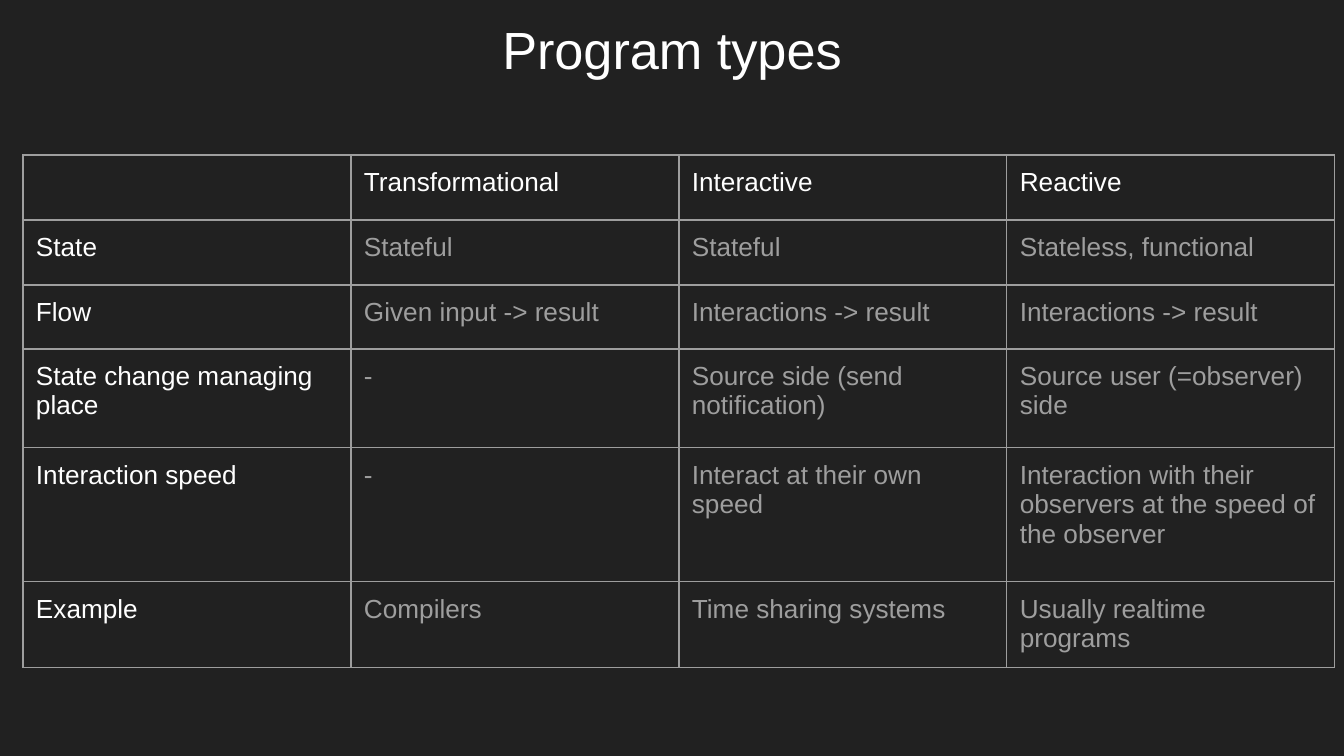
from dataclasses import dataclass

from lxml.etree import SubElement
from pptx import Presentation
from pptx.dml.color import RGBColor as Color
from pptx.enum.text import MSO_ANCHOR as Anchor, PP_ALIGN as Align
from pptx.oxml.ns import qn
from pptx.util import Emu, Pt

PIXEL = 914400 / 134.4


def px(length):
    return Emu(round(length * PIXEL))


@dataclass(frozen=True)
class Theme:
    font: str = "Arial"
    background: str = "212121"
    heading: str = "FFFFFF"
    body: str = "9E9E9E"
    border: str = "9E9E9E"
    title_size: int = 28
    cell_size: int = 14
    border_width: float = 0.75
    inset: int = 13


class SlideBuilder:
    def __init__(self, deck, theme):
        self.theme = theme
        self.slide = deck.slides.add_slide(deck.slide_layouts[5])
        fill = self.slide.background.fill
        fill.solid()
        fill.fore_color.rgb = Color.from_string(theme.background)

    def add_text(self, para, text, size, color):
        run = para.add_run()
        run.text = text
        run.font.name = self.theme.font
        run.font.size = Pt(size)
        run.font.color.rgb = Color.from_string(color)

    def title(self, text, left, top, width, height):
        box = self.slide.shapes.title
        box.left, box.top, box.width, box.height = map(px, (left, top, width, height))
        frame = box.text_frame
        frame.word_wrap = True
        frame.vertical_anchor = Anchor.TOP
        frame.margin_left = frame.margin_right = frame.margin_bottom = px(self.theme.inset)
        frame.margin_top = px(18)
        para = frame.paragraphs[0]
        para.alignment = Align.CENTER
        self.add_text(para, text, self.theme.title_size, self.theme.heading)

    def table(self, rows, left, top, column_width, row_heights):
        columns = len(rows[0])
        frame = self.slide.shapes.add_table(
            len(rows), columns, px(left), px(top),
            px(column_width * columns), px(sum(row_heights)))
        grid = frame.table
        grid.first_row = grid.horz_banding = False
        for column in grid.columns:
            column.width = px(column_width)
        for row, height in zip(grid.rows, row_heights):
            row.height = px(height)
        for r, texts in enumerate(rows):
            for c, text in enumerate(texts):
                is_heading = r == 0 or c == 0
                color = self.theme.heading if is_heading else self.theme.body
                self.cell(grid.cell(r, c), text, color)

    def cell(self, cell, text, color):
        inset = px(self.theme.inset)
        cell.margin_left = cell.margin_right = inset
        cell.margin_top = cell.margin_bottom = inset
        cell.vertical_anchor = Anchor.TOP
        # Borders come before the fill in the cell properties
        properties = cell._tc.get_or_add_tcPr()
        for side in ("lnL", "lnR", "lnT", "lnB"):
            line = SubElement(properties, qn(f"a:{side}"),
                              w=str(Pt(self.theme.border_width)))
            solid = SubElement(line, qn("a:solidFill"))
            SubElement(solid, qn("a:srgbClr"), val=self.theme.border)
        cell.fill.background()
        para = cell.text_frame.paragraphs[0]
        para.font.size = Pt(self.theme.cell_size)
        if text:
            self.add_text(para, text, self.theme.cell_size, color)


PROGRAM_TYPES = [
    ("", "Transformational", "Interactive", "Reactive"),
    ("State", "Stateful", "Stateful", "Stateless, functional"),
    ("Flow", "Given input -> result", "Interactions -> result",
     "Interactions -> result"),
    ("State change managing place", "-", "Source side (send notification)",
     "Source user (=observer) side"),
    ("Interaction speed", "-", "Interact at their own speed",
     "Interaction with their observers at the speed of the observer"),
    ("Example", "Compilers", "Time sharing systems", "Usually realtime programs"),
]

# Deck
deck = Presentation()
deck.slide_width, deck.slide_height = px(1344), px(756)
page = SlideBuilder(deck, Theme())

# Title and comparison table
page.title("Program types", 46, -1, 1252, 85)
page.table(PROGRAM_TYPES, 23, 155, 328, [65, 65, 64, 99, 134, 86])

deck.save("out.pptx")
